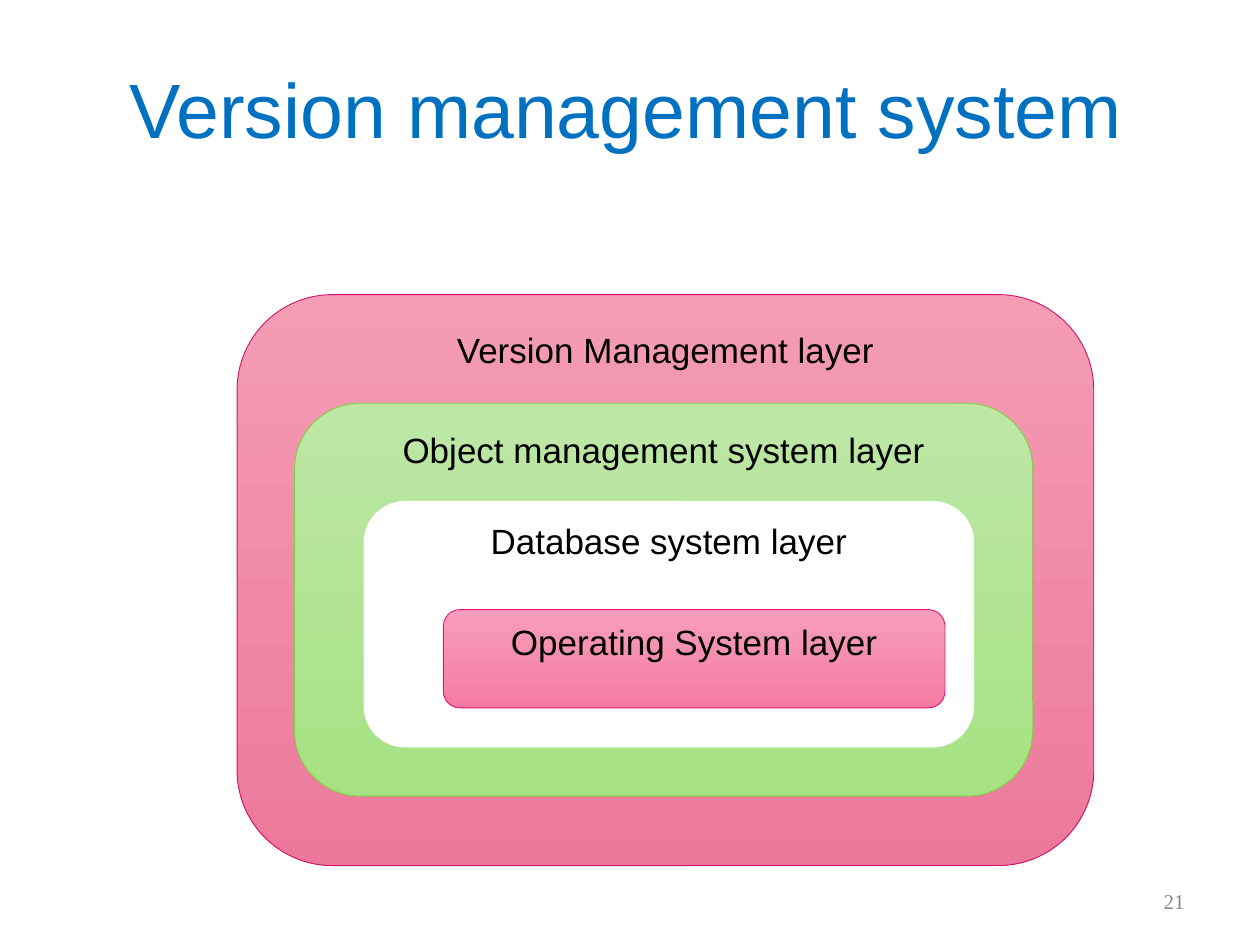
"""Build a slide of nested layers in a version management system."""
from pptx import Presentation
from pptx.dml.color import RGBColor
from pptx.enum.shapes import MSO_SHAPE
from pptx.enum.text import MSO_ANCHOR, MSO_AUTO_SIZE, PP_ALIGN
from pptx.util import Cm, Pt

ROUNDED = MSO_SHAPE.ROUNDED_RECTANGLE
TOP, MIDDLE = MSO_ANCHOR.TOP, MSO_ANCHOR.MIDDLE
CENTER, RIGHT = PP_ALIGN.CENTER, PP_ALIGN.RIGHT
NO_FIT = MSO_AUTO_SIZE.NONE

TITLE = ("Version management system", (1.19, 0.58, 22.86, 3.18))
PAGE_NUMBER = ("21", (18.21, 17.65, 5.92, 1.02))
LAYERS = [
    ("Version Management layer", (4.78, 5.94, 17.27, 11.51), "pink"),
    ("Object management system layer", (5.94, 8.13, 14.88, 7.92), "green"),
    ("Database system layer", (7.34, 10.11, 12.29, 4.95), "white"),
    ("Operating System layer", (8.94, 12.29, 10.11, 1.98), "rose"),
]

THEME = {
    "title": {"name": "Arial", "size": 44, "color": "0070C0"},
    "layer": {"name": "Arial", "size": 20, "color": "000000"},
    "number": {"name": "Times New Roman", "size": 12, "color": "898989"},
    "pink": {"fill": ["F49CB4", "EC799B"], "line": "D4126E"},
    "green": {"fill": ["BDE7A6", "A6E284"], "line": "7FD13B"},
    "white": {"fill": ["FFFFFF"], "line": "FFFFFF"},
    "rose": {"fill": ["F69EBA", "F67BA3"], "line": "EA157A"},
    "line_width": 0.5,
    "corner": 0.167,
}


def rgb(code):
    return RGBColor.from_string(code)


def place(part, box):
    for side, length in zip(("left", "top", "width", "height"), box):
        setattr(part, side, Cm(length))


def write(part, wording, style, align, anchor):
    frame = part.text_frame
    frame_format = {
        "text": wording,
        "word_wrap": True,
        "auto_size": NO_FIT,
        "vertical_anchor": anchor,
    }
    for key, value in frame_format.items():
        setattr(frame, key, value)
    paragraph = frame.paragraphs[0]
    paragraph.alignment = align
    font = paragraph.runs[0].font
    font.name, font.size = style["name"], Pt(style["size"])
    font.color.rgb = rgb(style["color"])


def paint(layer, look):
    layer.shadow.inherit = False
    layer.line.color.rgb = rgb(look["line"])
    layer.line.width = Pt(THEME["line_width"])
    if len(look["fill"]) == 1:
        layer.fill.solid()
        layer.fill.fore_color.rgb = rgb(look["fill"][0])
        return
    layer.fill.gradient()
    layer.fill.gradient_angle = 270
    for stop, code in zip(layer.fill.gradient_stops, look["fill"]):
        stop.color.rgb = rgb(code)


def main():
    deck = Presentation()
    deck.slide_width, deck.slide_height = Cm(25.4), Cm(19.05)
    slide = deck.slides.add_slide(deck.slide_layouts[5])

    wording, box = TITLE
    heading = slide.shapes.title
    place(heading, box)
    write(heading, wording, THEME["title"], CENTER, MIDDLE)

    wording, box = PAGE_NUMBER
    page_number = slide.shapes.add_textbox(*map(Cm, box))
    write(page_number, wording, THEME["number"], RIGHT, MIDDLE)

    for wording, box, look in LAYERS:
        layer = slide.shapes.add_shape(ROUNDED, *map(Cm, box))
        layer.adjustments[0] = THEME["corner"]
        paint(layer, THEME[look])
        write(layer, wording, THEME["layer"], CENTER, TOP)

    deck.save("out.pptx")


if __name__ == "__main__":
    main()
